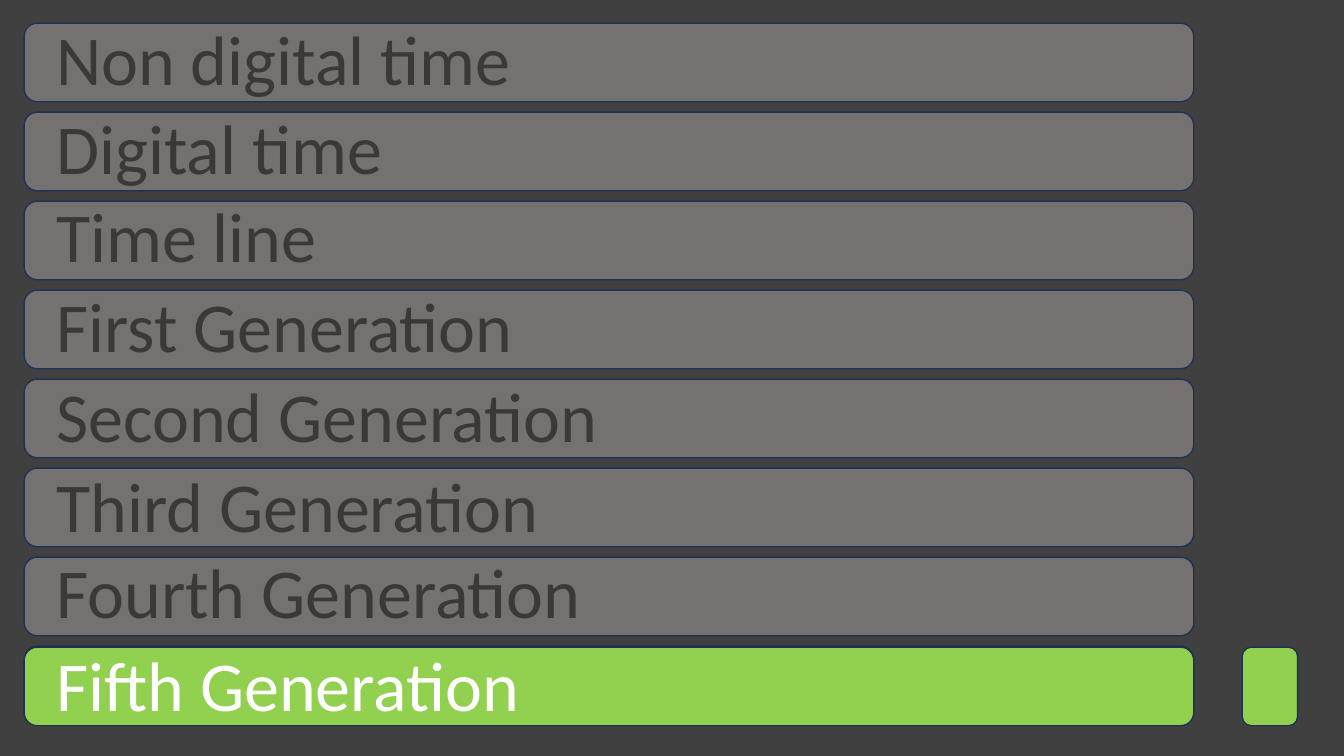
import pptx
import pptx.util
import pptx.dml.color
import pptx.enum.shapes
import pptx.enum.text

Inches = pptx.util.Inches


def rgb(value):
    return pptx.dml.color.RGBColor.from_string(value)


def add_bar(left, top, width, fill):
    sp = s.shapes.add_shape(
        pptx.enum.shapes.MSO_SHAPE.ROUNDED_RECTANGLE,
        Inches(left), Inches(top), Inches(width), Inches(0.78))
    sp.shadow.inherit = False
    sp.fill.solid()
    sp.fill.fore_color.rgb = rgb(fill)
    sp.line.color.rgb = rgb("1E3256")
    sp.line.width = pptx.util.Pt(1)


prs = pptx.Presentation()
prs.slide_width, prs.slide_height = Inches(13.33), Inches(7.5)
s = prs.slides.add_slide(prs.slide_layouts[6])
s.background.fill.solid()
s.background.fill.fore_color.rgb = rgb("404040")

# Agenda entries: text, top of label, width of label
entries = [
    ("Non digital time", 0.11, 4.96),
    ("Digital time", 0.99, 3.66),
    ("Time line", 1.86, 2.88),
    ("First Generation", 2.75, 5.04),
    ("Second Generation", 3.65, 5.82),
    ("Third Generation", 4.54, 5.24),
    ("Fourth Generation", 5.39, 5.63),
    ("Fifth Generation", 6.32, 5.06),
]
current = len(entries) - 1

# Grey bars at an even pitch
first_top, last_top = 0.23, 6.41
pitch = (last_top - first_top) / (len(entries) - 1)
for i in range(len(entries)):
    add_bar(0.24, first_top + i * pitch, 11.6, "767171")

# Green highlight on the current entry and its side marker
for left, width in ((0.24, 11.6), (12.32, 0.55)):
    add_bar(left, 6.42, width, "92D050")

# Labels
for i, (text, top, width) in enumerate(entries):
    sp = s.shapes.add_textbox(Inches(0.46), Inches(top), Inches(width), Inches(0.94))
    tf = sp.text_frame
    tf.word_wrap = False
    tf.auto_size = pptx.enum.text.MSO_AUTO_SIZE.SHAPE_TO_FIT_TEXT
    r = tf.paragraphs[0].add_run()
    r.text = text
    for name, value in {"name": "Calibri", "size": pptx.util.Pt(50)}.items():
        setattr(r.font, name, value)
    r.font.color.rgb = rgb("FFFFFF" if i == current else "3B3838")

prs.save("out.pptx")
